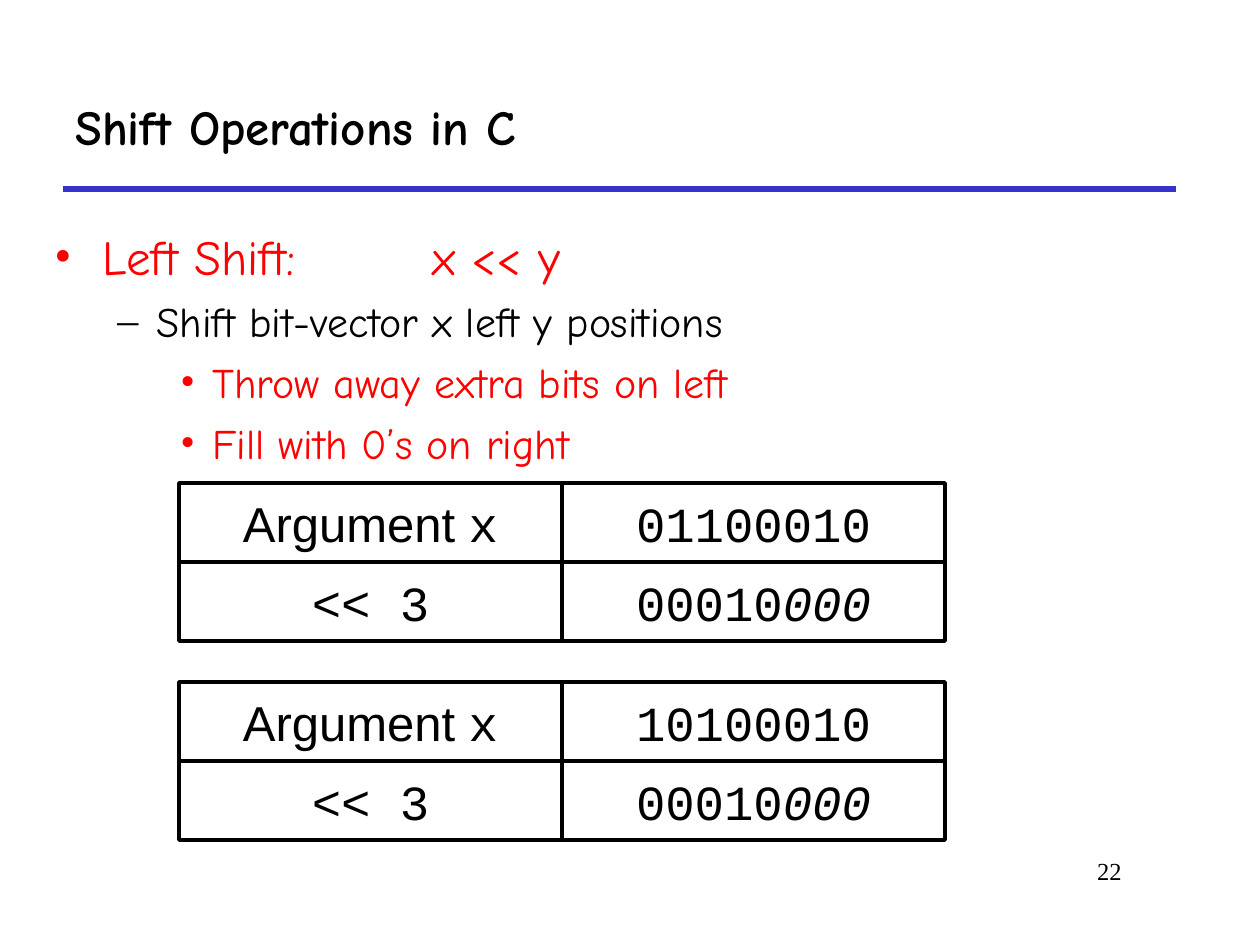
from lxml import etree
from pptx import Presentation
from pptx.dml.color import RGBColor
from pptx.enum.shapes import MSO_CONNECTOR, MSO_SHAPE
from pptx.enum.text import MSO_ANCHOR, PP_ALIGN
from pptx.oxml.ns import qn
from pptx.util import Emu, Pt

LINE, RECT = MSO_CONNECTOR.STRAIGHT, MSO_SHAPE.RECTANGLE
MID = MSO_ANCHOR.MIDDLE
LEFT, CENTER, RIGHT = PP_ALIGN.LEFT, PP_ALIGN.CENTER, PP_ALIGN.RIGHT
INCH = 126
BLACK, WHITE, RED, BLUE = "000000", "FFFFFF", "FF0000", "3333CC"
COMIC, SANS, MONO, SERIF = "Comic Neue", "Arial", "Courier New", "Times New Roman"


def px(n):
    return Emu(round(n * 914400 / INCH))


def paint(color, code):
    color.rgb = RGBColor.from_string(code)


def style(run, font, size, code=BLACK, bold=False, italic=False):
    run.font.name, run.font.size = font, Pt(size)
    run.font.bold, run.font.italic = bold, italic
    paint(run.font.color, code)


def label(slide, box, text, font, size, bold=False, align=LEFT):
    """Add one line of text in a wrapping box."""
    frame = slide.shapes.add_textbox(*map(px, box)).text_frame
    frame.word_wrap = True
    frame.text = text
    frame.paragraphs[0].alignment = align
    style(frame.paragraphs[0].runs[0], font, size, bold=bold)
    return frame


def head(slide, box):
    x, y, w, h = box
    rule = slide.shapes.add_connector(LINE, px(x), px(y + h), px(x + w), px(y + h))
    etree.SubElement(rule._element.spPr, qn("a:effectLst"))
    paint(rule.line.color, BLUE)
    rule.line.width = Pt(3)
    frame = label(slide, box, "Shift Operations in C", COMIC, 28, bold=True)
    frame.vertical_anchor = MID


def bullet(para, mark, code, margin, hang):
    """Set a coloured bullet, its indent and tab stops at whole inches."""
    props = para._p.get_or_add_pPr()
    props.set("marL", str(px(margin)))
    props.set("indent", str(-px(hang)))
    tint = etree.SubElement(props, qn("a:buClr"))
    etree.SubElement(tint, qn("a:srgbClr"), val=code)
    etree.SubElement(props, qn("a:buFont"), typeface=SERIF)
    etree.SubElement(props, qn("a:buChar"), char=mark)
    tabs = etree.SubElement(props, qn("a:tabLst"))
    for n in range(1, 9):
        etree.SubElement(tabs, qn("a:tab"), pos=str(px(n * INCH)), algn="l")


def points(slide, box, items):
    frame = slide.shapes.add_textbox(*map(px, box)).text_frame
    frame.word_wrap = True
    levels = [("•", RED, 48, 48, 28), ("–", BLACK, 102, 39, 24), ("•", RED, 158, 32, 24)]
    frame.text = "\n".join(text for _, text in items)
    for para, (level, _) in zip(frame.paragraphs, items):
        mark, code, margin, hang, size = levels[level]
        para.level = level
        bullet(para, mark, code, margin, hang)
        if level:
            para.space_before = Pt(6)
        style(para.runs[0], COMIC, size, code)


def cell(group, box, parts):
    shape = group.shapes.add_shape(RECT, *map(px, box))
    shape.shadow.inherit = False
    shape.fill.solid()
    paint(shape.fill.fore_color, WHITE)
    paint(shape.line.color, BLACK)
    shape.line.width = Pt(2)
    frame = shape.text_frame
    frame.word_wrap = False
    frame.vertical_anchor = MID
    para = frame.paragraphs[0]
    para.alignment = CENTER
    for text, font, italic in parts:
        run = para.add_run()
        run.text = text
        style(run, font, 28, italic=italic)


def grid(slide, box, bits):
    """Draw a two by two grid with an argument and its shifted value."""
    x, y, w, h = box
    wide, high = w / 2, h / 2
    rows = [
        [[("Argument ", SANS, False), ("x", MONO, False)], [(bits, MONO, False)]],
        [[("<< 3", MONO, False)], [(bits[3:], MONO, False), ("000", MONO, True)]],
    ]
    group = slide.shapes.add_group_shape()
    for r, row in enumerate(rows):
        for c, parts in enumerate(row):
            cell(group, (x + c * wide, y + r * high, wide, high), parts)


def main():
    deck = Presentation()
    deck.slide_width, deck.slide_height = px(1260), px(945)
    slide = deck.slides.add_slide(deck.slide_layouts[6])
    head(slide, (63, 63, 1113, 126))
    label(slide, (955, 850, 179, 63), "22", SERIF, 14, align=RIGHT)
    points(slide, (42, 220, 809, 609), [
        (0, "Left Shift: \tx << y"),
        (1, "Shift bit-vector x left y positions"),
        (2, "Throw away extra bits on left"),
        (2, "Fill with 0’s on right"),
    ])
    for n, bits in enumerate(["01100010", "10100010"]):
        grid(slide, (179, 483 + n * 199, 766, 158), bits)
    deck.save("out.pptx")


if __name__ == "__main__":
    main()
